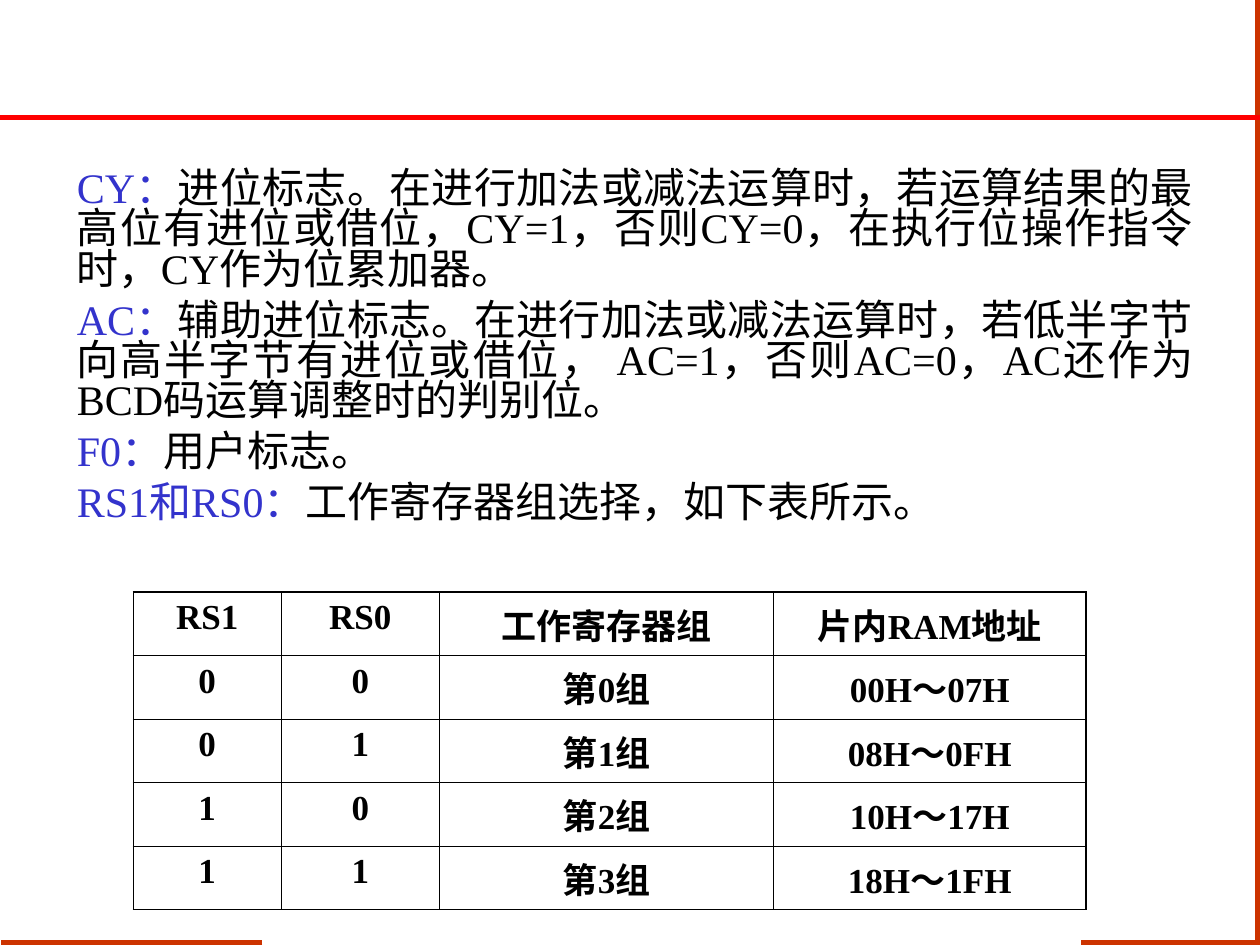
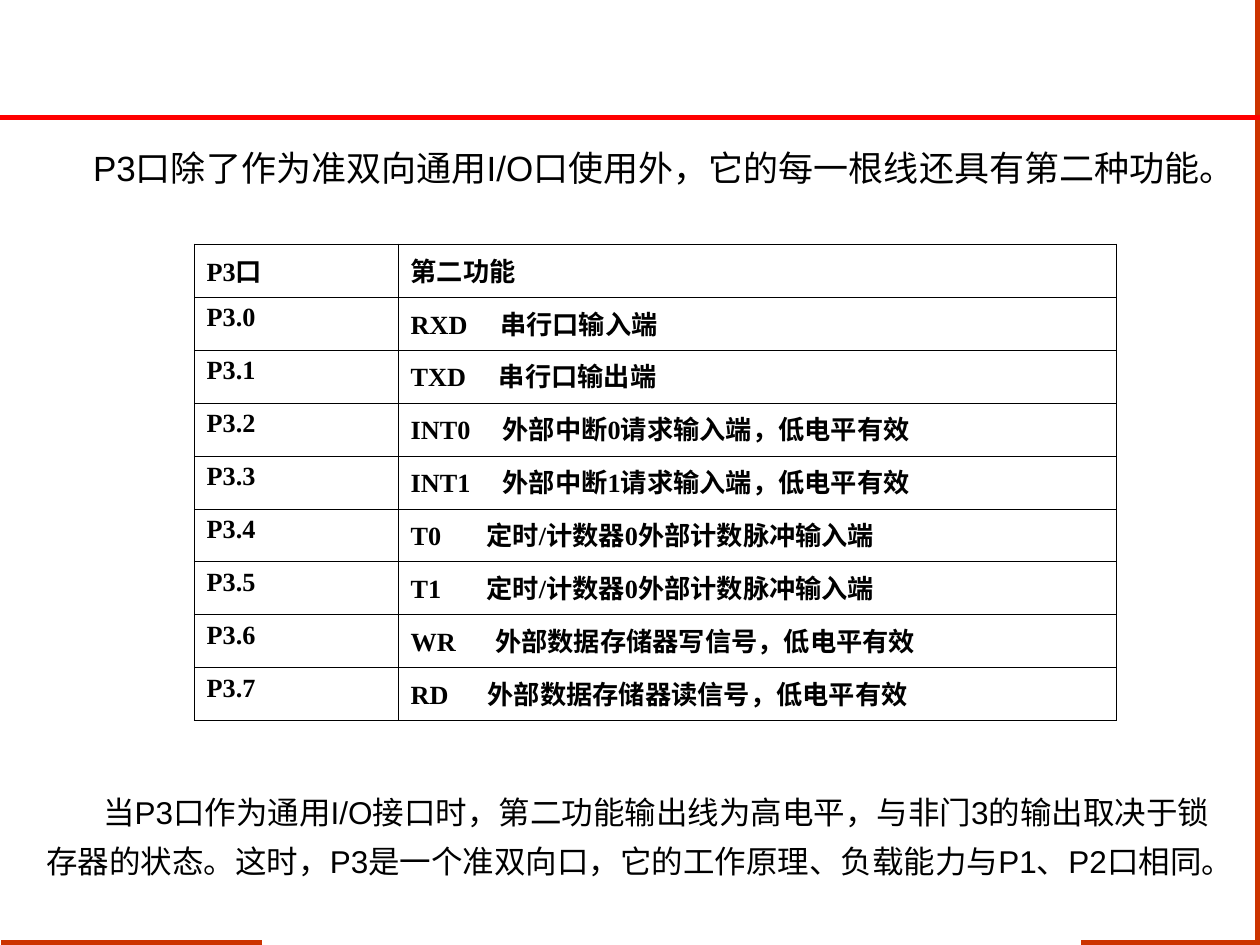
"""Build two slides on status flags and the second functions of port P3."""
from lxml import etree
from pptx import Presentation
from pptx.dml.color import RGBColor
from pptx.enum.shapes import MSO_CONNECTOR
from pptx.enum.text import MSO_ANCHOR, MSO_AUTO_SIZE, PP_ALIGN
from pptx.oxml.ns import qn
from pptx.util import Inches, Pt

STRAIGHT = MSO_CONNECTOR.STRAIGHT
TOP, MIDDLE = MSO_ANCHOR.TOP, MSO_ANCHOR.MIDDLE
NO_FIT, GROW = MSO_AUTO_SIZE.NONE, MSO_AUTO_SIZE.SHAPE_TO_FIT_TEXT
CENTER, LEFT, JUSTIFY = PP_ALIGN.CENTER, PP_ALIGN.LEFT, PP_ALIGN.JUSTIFY

COLORS = {"rust": "CC3300", "red": "FF0000", "blue": "3333CC", "black": "000000"}
SERIF, SANS, CHINESE = "Times New Roman", "Arial", "Noto Sans CJK SC"
INNER_BORDER = 0.45

FRAME_LINES = [
    ((2.08, 7.48), (0.01, 7.48), "rust"),
    ((9.98, 7.5), (9.98, 0), "rust"),
    ((9.96, 7.48), (8.58, 7.48), "rust"),
    ((10, 0.93), (0, 0.93), "red"),
]

FLAGS = [
    ("CY：", "进位标志。在进行加法或减法运算时，若运算结果的最高位有进位或借位，CY=1，"
            "否则CY=0，在执行位操作指令时，CY作为位累加器。"),
    ("AC：", "辅助进位标志。在进行加法或减法运算时，若低半字节向高半字节有进位或借位， AC=1，"
            "否则AC=0，AC还作为BCD码运算调整时的判别位。"),
    ("F0：", "用户标志。"),
    ("RS1和RS0：", "工作寄存器组选择，如下表所示。"),
]

REGISTER_BANKS = [
    ("RS1", "RS0", "工作寄存器组", "片内RAM地址"),
    ("0", "0", "第0组", "00H～07H"),
    ("0", "1", "第1组", "08H～0FH"),
    ("1", "0", "第2组", "10H～17H"),
    ("1", "1", "第3组", "18H～1FH"),
]

PORT_SIGNALS = [
    ("RXD", 0.71, "串行口输入端"),
    ("TXD", 0.7, "串行口输出端"),
    ("INT0", 0.73, "外部中断0请求输入端，低电平有效"),
    ("INT1", 0.73, "外部中断1请求输入端，低电平有效"),
    ("T0", 0.6, "定时/计数器0外部计数脉冲输入端"),
    ("T1", 0.6, "定时/计数器0外部计数脉冲输入端"),
    ("WR", 0.67, "外部数据存储器写信号，低电平有效"),
    ("RD", 0.61, "外部数据存储器读信号，低电平有效"),
]

PORT_INTRO = "P3口除了作为准双向通用I/O口使用外，它的每一根线还具有第二种功能。"
PORT_NOTE = ("当P3口作为通用I/O接口时，第二功能输出线为高电平，与非门3的输出取决于锁存器的状态。"
             "这时，P3是一个准双向口，它的工作原理、负载能力与P1、P2口相同。")


def apply_format(target, values):
    """Set each named attribute of the target."""
    for name, value in values.items():
        setattr(target, name, value)


def add_span(para, text, size, font=SERIF, color="black", bold=False):
    """Append a run with Latin and Chinese fonts."""
    span = para.add_run()
    span.text = text
    apply_format(span.font, {"size": Pt(size), "name": font, "bold": bold})
    span.font.color.rgb = RGBColor.from_string(COLORS[color])
    latin = span.font._element.find(qn("a:latin"))
    east_asian = etree.Element(qn("a:ea"), typeface=CHINESE)
    latin.addnext(east_asian)


def add_line(page, start, end, color):
    """Draw one straight line of the page frame."""
    line = page.shapes.add_connector(STRAIGHT, *map(Inches, start + end))
    line.line.width = Pt(3)
    line.line.color.rgb = RGBColor.from_string(COLORS[color])
    etree.SubElement(line._element.spPr, qn("a:effectLst"))


def add_page(deck, layout_index):
    """Add a slide with the shared frame lines."""
    page = deck.slides.add_slide(deck.slide_layouts[layout_index])
    for start, end, color in FRAME_LINES:
        add_line(page, start, end, color)
    return page


def fill_flag_list(page):
    """Write the flag descriptions into the body placeholder."""
    title = page.shapes.title._element
    title.getparent().remove(title)
    body = page.placeholders[1]
    apply_format(body, {"left": Inches(0.51), "top": Inches(1.31),
                        "width": Inches(9.06), "height": Inches(2.91)})
    frame = body.text_frame
    apply_format(frame, {"auto_size": NO_FIT, "vertical_anchor": TOP, "word_wrap": True})
    for index, (flag, meaning) in enumerate(FLAGS):
        para = frame.paragraphs[0] if index == 0 else frame.add_paragraph()
        apply_format(para, {"alignment": JUSTIFY, "line_spacing": 0.8, "space_before": Pt(6)})
        properties = para._p.get_or_add_pPr()
        properties.set("marL", "0")
        properties.set("indent", "0")
        etree.SubElement(properties, qn("a:buNone"))
        add_span(para, flag, 24, color="blue")
        add_span(para, meaning, 24)


def add_text(page, text, place, size, wrap, spacing=1.0, indent=0):
    """Add a text box with one paragraph."""
    box = page.shapes.add_textbox(*map(Inches, place))
    apply_format(box.text_frame, {"word_wrap": wrap, "auto_size": GROW,
                                  "vertical_anchor": MIDDLE})
    para = box.text_frame.paragraphs[0]
    para.line_spacing = spacing
    para._p.get_or_add_pPr().set("indent", str(Inches(indent)))
    add_span(para, text, size, SANS)


def set_borders(cell, widths):
    """Draw the cell borders, given as point widths by side."""
    properties = cell._tc.get_or_add_tcPr()
    for position, side in enumerate("LRTB"):
        border = etree.Element(qn(f"a:ln{side}"), w=str(Pt(widths[side])))
        fill = etree.SubElement(border, qn("a:solidFill"))
        etree.SubElement(fill, qn("a:srgbClr"), val=COLORS["black"])
        properties.insert(position, border)


def add_grid(page, rows, place, column_widths, row_height, size, alignment, outer):
    """Add a bordered table with bold text."""
    left, top = place
    shape = page.shapes.add_table(len(rows), len(column_widths), Inches(left), Inches(top),
                                  Inches(sum(column_widths)), Inches(row_height * len(rows)))
    table = shape.table
    apply_format(table, {"first_row": False, "horz_banding": False})
    for column, width in zip(table.columns, column_widths):
        column.width = Inches(width)
    last_row, last_column = len(rows) - 1, len(column_widths) - 1
    for row_index, row in enumerate(rows):
        table.rows[row_index].height = Inches(row_height)
        for column_index, text in enumerate(row):
            cell = table.cell(row_index, column_index)
            cell.fill.background()
            on_edge = {"L": column_index == 0, "R": column_index == last_column,
                       "T": row_index == 0, "B": row_index == last_row}
            set_borders(cell, {side: outer[side] if edge else INNER_BORDER
                               for side, edge in on_edge.items()})
            para = cell.text_frame.paragraphs[0]
            para.alignment = alignment
            add_span(para, text, size, bold=True)
    return table


def align_signals(table):
    """Give each signal row the tab stop where its meaning starts."""
    for index, (_, gap, _) in enumerate(PORT_SIGNALS, start=1):
        para = table.cell(index, 1).text_frame.paragraphs[0]
        stops = etree.SubElement(para._p.get_or_add_pPr(), qn("a:tabLst"))
        etree.SubElement(stops, qn("a:tab"), pos=str(Inches(gap)), algn="l")


def build_flags_page(deck):
    """Build the slide on status flags and register banks."""
    page = add_page(deck, 1)
    fill_flag_list(page)
    add_grid(page, REGISTER_BANKS, (1.06, 4.7), (1.17, 1.26, 2.65, 2.48), 0.5, 20, CENTER,
             dict.fromkeys("LRTB", 1.08))


def build_port_page(deck):
    """Build the slide on the second functions of port P3."""
    page = add_page(deck, 6)
    add_text(page, PORT_INTRO, (0.64, 1.11, 9.46, 0.44), 20, wrap=False)
    rows = [("P3口", "第二功能")]
    rows += [(f"P3.{number}", f"{signal}\t{meaning}")
             for number, (signal, _, meaning) in enumerate(PORT_SIGNALS)]
    table = add_grid(page, rows, (1.54, 1.94), (1.62, 5.7), 0.42, 15, LEFT,
                     {"L": 0.34, "R": 0.34, "T": 0.96, "B": 0.96})
    align_signals(table)
    add_text(page, PORT_NOTE, (0.27, 5.96, 9.53, 1.27), 18, wrap=True, spacing=1.3, indent=0.45)


def main():
    """Build and save the deck."""
    deck = Presentation()
    apply_format(deck, {"slide_width": Inches(10), "slide_height": Inches(7.5)})
    build_flags_page(deck)
    build_port_page(deck)
    for page in deck.slides:
        for box in list(page.placeholders):
            if not box.text_frame.text:
                box._element.getparent().remove(box._element)
    deck.save("out.pptx")


if __name__ == "__main__":
    main()
